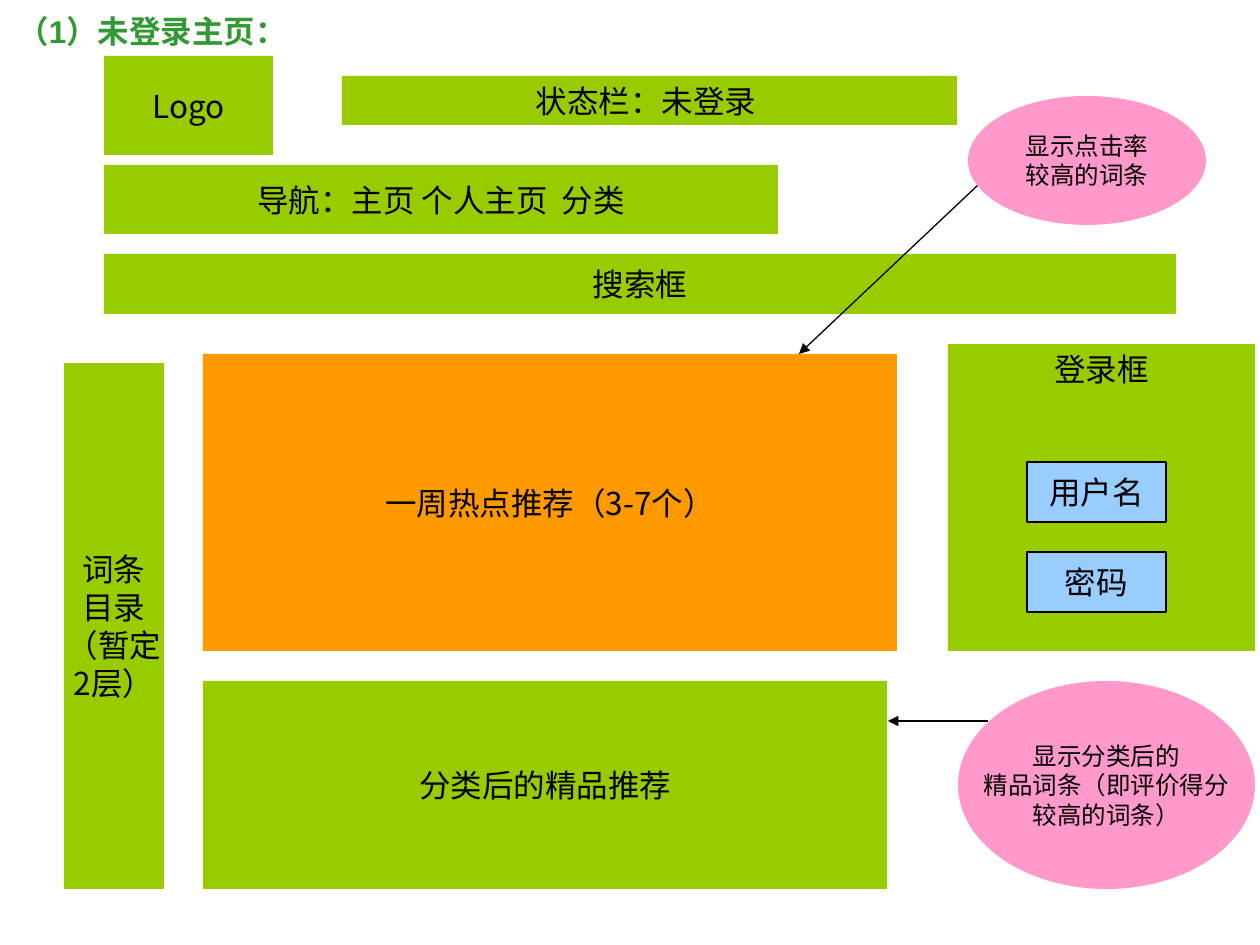
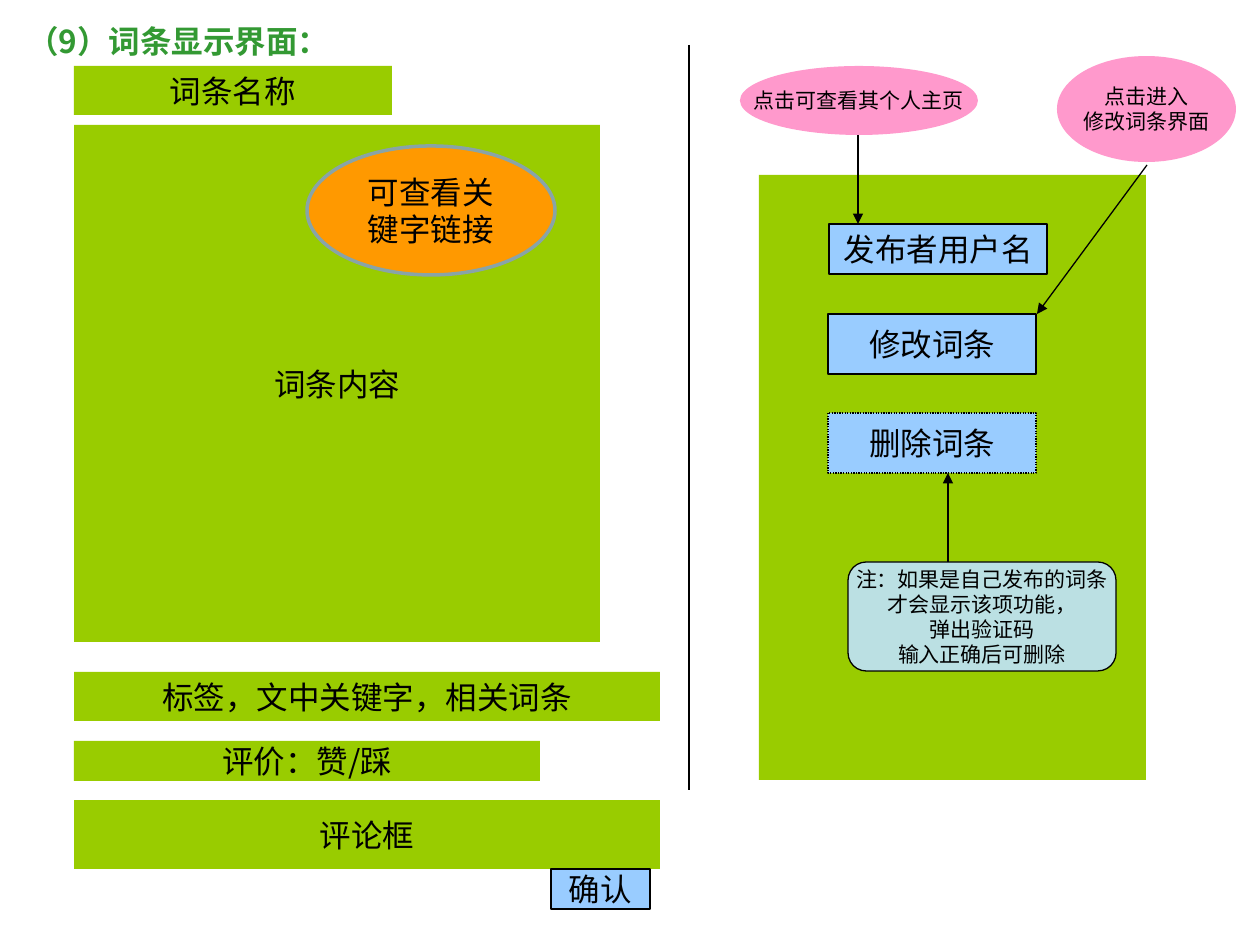
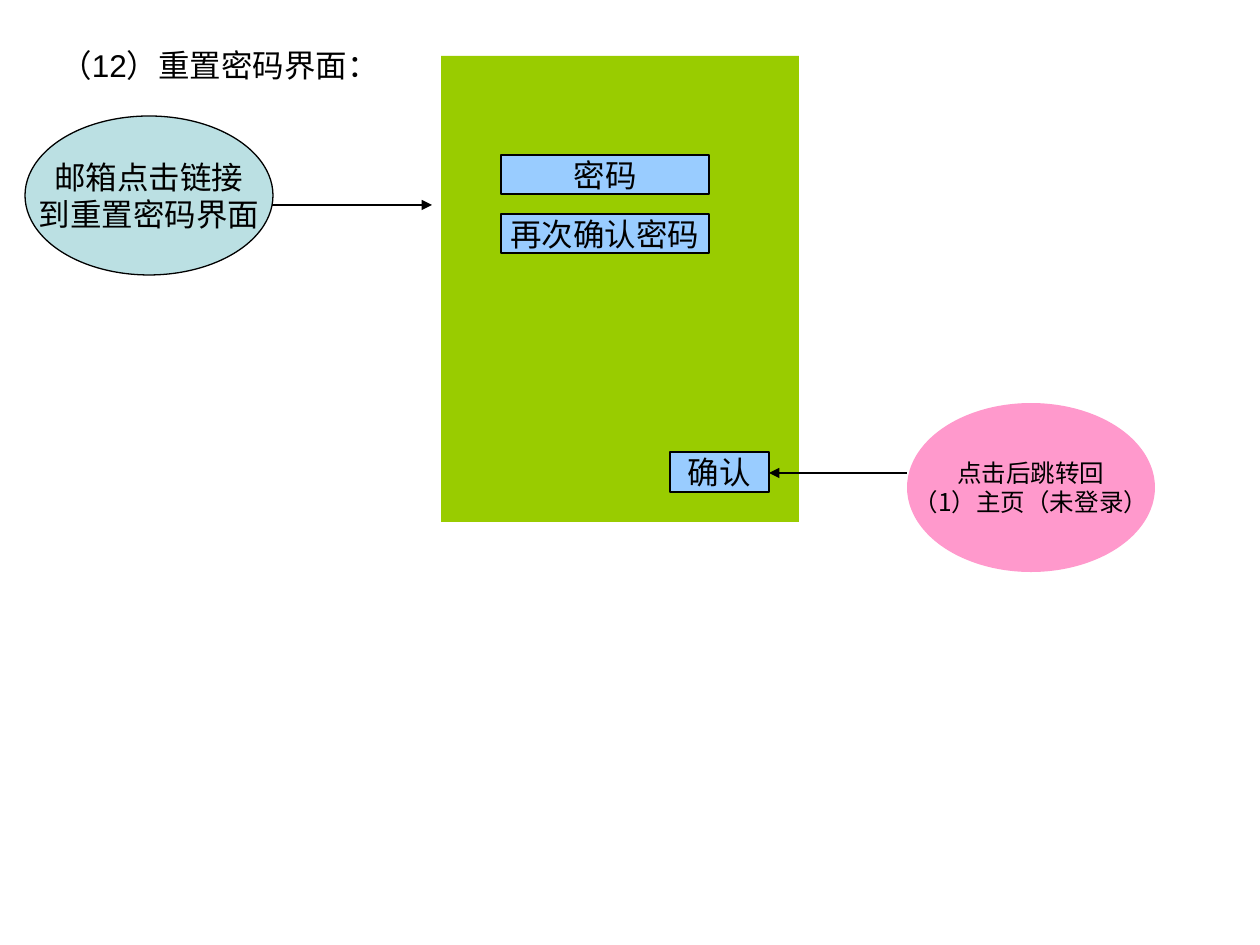
from dataclasses import dataclass

from lxml import etree
from pptx import Presentation
from pptx.dml.color import RGBColor
from pptx.enum.dml import MSO_LINE
from pptx.enum.shapes import MSO_CONNECTOR, MSO_SHAPE
from pptx.enum.text import MSO_ANCHOR, MSO_AUTO_SIZE, PP_ALIGN
from pptx.oxml.ns import qn
from pptx.util import Pt

RECT, ELLIPSE, ROUNDED = MSO_SHAPE.RECTANGLE, MSO_SHAPE.OVAL, MSO_SHAPE.ROUNDED_RECTANGLE
STRAIGHT = MSO_CONNECTOR.STRAIGHT
LEFT, CENTER = PP_ALIGN.LEFT, PP_ALIGN.CENTER
TOP, MIDDLE = MSO_ANCHOR.TOP, MSO_ANCHOR.MIDDLE
GROW = MSO_AUTO_SIZE.SHAPE_TO_FIT_TEXT
DOTTED = MSO_LINE.ROUND_DOT
EMU_PER_PIXEL = 914400 / 126


@dataclass(frozen=True)
class Theme:
    block: str = "99CC00"
    highlight: str = "FF9900"
    highlight_edge: str = "89A4A7"
    field: str = "99CCFF"
    callout: str = "FF99CC"
    note: str = "BBE0E3"
    heading: str = "339933"
    ink: str = "000000"
    body: int = 18
    remark: int = 14
    small: int = 12
    thin: float = 0.75
    thick: float = 2
    latin: str = "Arial"
    cjk: str = "Noto Sans CJK SC"


THEME = Theme()


def emu(*pixels):
    return [round(value * EMU_PER_PIXEL) for value in pixels]


def write(frame, text, size=THEME.body, font=THEME.latin, color=THEME.ink,
          bold=False, align=CENTER, anchor=MIDDLE, wrap=False):
    frame.word_wrap = wrap
    frame.vertical_anchor = anchor
    for index, line in enumerate(text.split("\n")):
        paragraph = frame.add_paragraph() if index else frame.paragraphs[0]
        paragraph.alignment = align
        run = paragraph.add_run()
        run.text = line
        run.font.size = Pt(size)
        run.font.bold = bold
        run.font.color.rgb = RGBColor.from_string(color)
        run.font.name = font
        etree.SubElement(run.font._element, qn("a:ea")).set("typeface", THEME.cjk)


class Wireframe:
    def __init__(self, theme):
        self.theme = theme
        self.deck = Presentation()
        self.deck.slide_width, self.deck.slide_height = emu(1260, 945)

    def page(self):
        self.slide = self.deck.slides.add_slide(self.deck.slide_layouts[6])

    def title(self, box, text, **style):
        frame = self.slide.shapes.add_textbox(*emu(*box)).text_frame
        write(frame, text, align=LEFT, anchor=TOP, wrap=True, **style)
        frame.auto_size = GROW

    def shape(self, kind, box, text, fill, edge=None, width=THEME.thin, dash=None, **style):
        shape = self.slide.shapes.add_shape(kind, *emu(*box))
        shape.shadow.inherit = False
        shape.fill.solid()
        shape.fill.fore_color.rgb = RGBColor.from_string(fill)
        if edge:
            shape.line.color.rgb = RGBColor.from_string(edge)
            shape.line.width = Pt(width)
            if dash:
                shape.line.dash_style = dash
        else:
            shape.line.fill.background()
        if text:
            write(shape.text_frame, text, **style)

    def block(self, box, text="", fill=THEME.block, **style):
        self.shape(RECT, box, text, fill, **style)

    def field(self, box, text, **style):
        self.shape(RECT, box, text, self.theme.field, edge=self.theme.ink, **style)

    def callout(self, box, text, size=THEME.remark, **style):
        self.shape(ELLIPSE, box, text, self.theme.callout, size=size, **style)

    def note(self, kind, box, text, **style):
        self.shape(kind, box, text, self.theme.note, edge=self.theme.ink, **style)

    def line(self, start, end, arrow=True):
        connector = self.slide.shapes.add_connector(STRAIGHT, *emu(*start, *end))
        connector.line.color.rgb = RGBColor.from_string(self.theme.ink)
        connector.line.width = Pt(self.theme.thin)
        if arrow:
            etree.SubElement(connector.line._get_or_add_ln(), qn("a:tailEnd")).set("type", "triangle")
        etree.SubElement(connector._element.spPr, qn("a:effectLst"))


def home_page(ui):
    ui.page()
    left, inner = 104, 203
    ui.block((left, 56, 169, 99), "Logo", font=THEME.cjk)
    ui.block((left, 254, 1072, 60), "搜索框")
    ui.block((342, 76, 615, 49), "状态栏：未登录 ", font=THEME.cjk)
    ui.block((left, 165, 674, 69), "导航：主页 个人主页  分类", font=THEME.cjk)
    ui.block((948, 344, 307, 307), "登录框", anchor=TOP)
    for row, label in enumerate(("用户名", "密码")):
        ui.field((1027, 462 + row * 90, 139, 60), label)
    ui.block((inner, 354, 694, 297), "一周热点推荐（3-7个）", fill=THEME.highlight, font=THEME.cjk)
    ui.block((inner, 681, 684, 208), "分类后的精品推荐")
    ui.block((64, 363, 100, 526), "词条\n目录\n（暂定\n2层）", font=THEME.cjk)
    ui.title((5, 6, 318, 50), "（1）未登录主页：", color=THEME.heading, bold=True)
    ui.callout((958, 681, 297, 208), "显示分类后的\n精品词条（即评价得分\n较高的词条）", font=THEME.cjk)
    ui.line((988, 721), (888, 721))
    ui.line((978, 185), (799, 354))
    ui.callout((968, 96, 238, 129), "显示点击率\n较高的词条", font=THEME.cjk)


def entry_page(ui):
    ui.page()
    left, wide = 74, 586
    ui.title((15, 16, 354, 50), "（9）词条显示界面：",
             color=THEME.heading, bold=True, font=THEME.cjk)
    ui.block((left, 66, 318, 49), "词条名称")
    ui.block((left, 125, 526, 517), "词条内容")
    ui.block((left, 741, 466, 40), "评价：赞/踩", font=THEME.cjk)
    ui.block((left, 672, wide, 49), "标签，文中关键字，相关词条")
    ui.block((left, 800, wide, 69), "评论框")
    ui.field((551, 869, 99, 40), "确认")
    ui.block((759, 175, 387, 605))
    ui.field((829, 224, 218, 50), "发布者用户名")
    ui.field((828, 314, 208, 60), "修改词条")
    ui.field((828, 413, 208, 60), "删除词条", dash=DOTTED)
    ui.line((689, 45), (689, 790), arrow=False)
    ui.callout((740, 66, 238, 69), "点击可查看其个人主页", size=THEME.small)
    ui.line((858, 135), (858, 224))
    ui.callout((1057, 56, 179, 106), "点击进入\n修改词条界面", size=THEME.small, font=THEME.cjk)
    ui.line((1147, 165), (1037, 314))
    ui.note(ROUNDED, (848, 562, 268, 109),
            "注：如果是自己发布的词条\n才会显示该项功能，\n弹出验证码\n输入正确后可删除", size=THEME.small)
    ui.line((948, 562), (948, 473))
    ui.shape(ELLIPSE, (307, 146, 248, 129), "可查看关键字链接", THEME.highlight,
             edge=THEME.highlight_edge, width=THEME.thick, font=THEME.cjk, wrap=True)


def reset_page(ui):
    ui.page()
    ui.title((48, 40, 335, 50), "（12）重置密码界面：")
    ui.note(ELLIPSE, (25, 116, 248, 159), "邮箱点击链接\n到重置密码界面")
    ui.line((272, 205), (432, 205))
    ui.block((441, 56, 358, 466))
    for row, label in enumerate(("密码", "再次确认密码")):
        ui.field((501, 155 + row * 59, 208, 39), label, font=THEME.cjk)
    ui.field((670, 452, 99, 40), "确认", font=THEME.cjk)
    ui.callout((907, 403, 248, 169), "点击后跳转回\n（1）主页（未登录）", font=THEME.cjk)
    ui.line((907, 473), (769, 473))


wireframe = Wireframe(THEME)
home_page(wireframe)
entry_page(wireframe)
reset_page(wireframe)
wireframe.deck.save("out.pptx")
